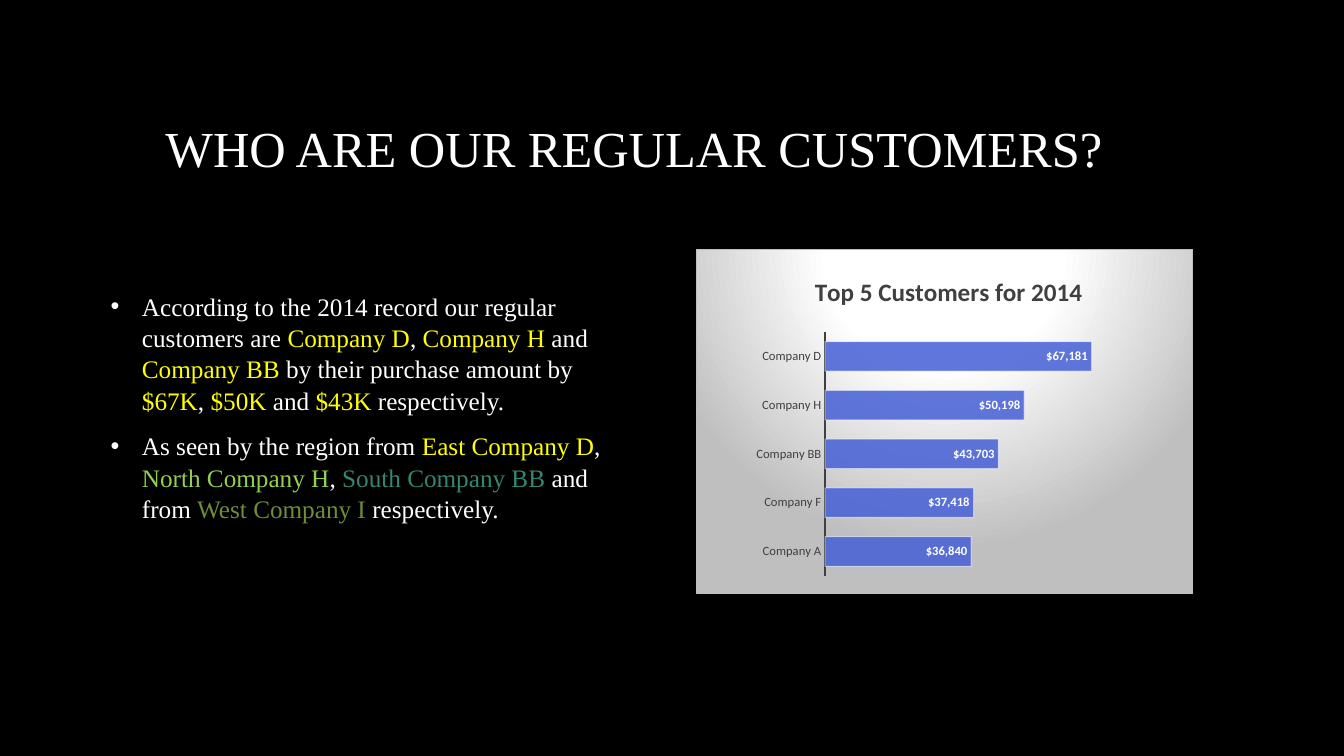
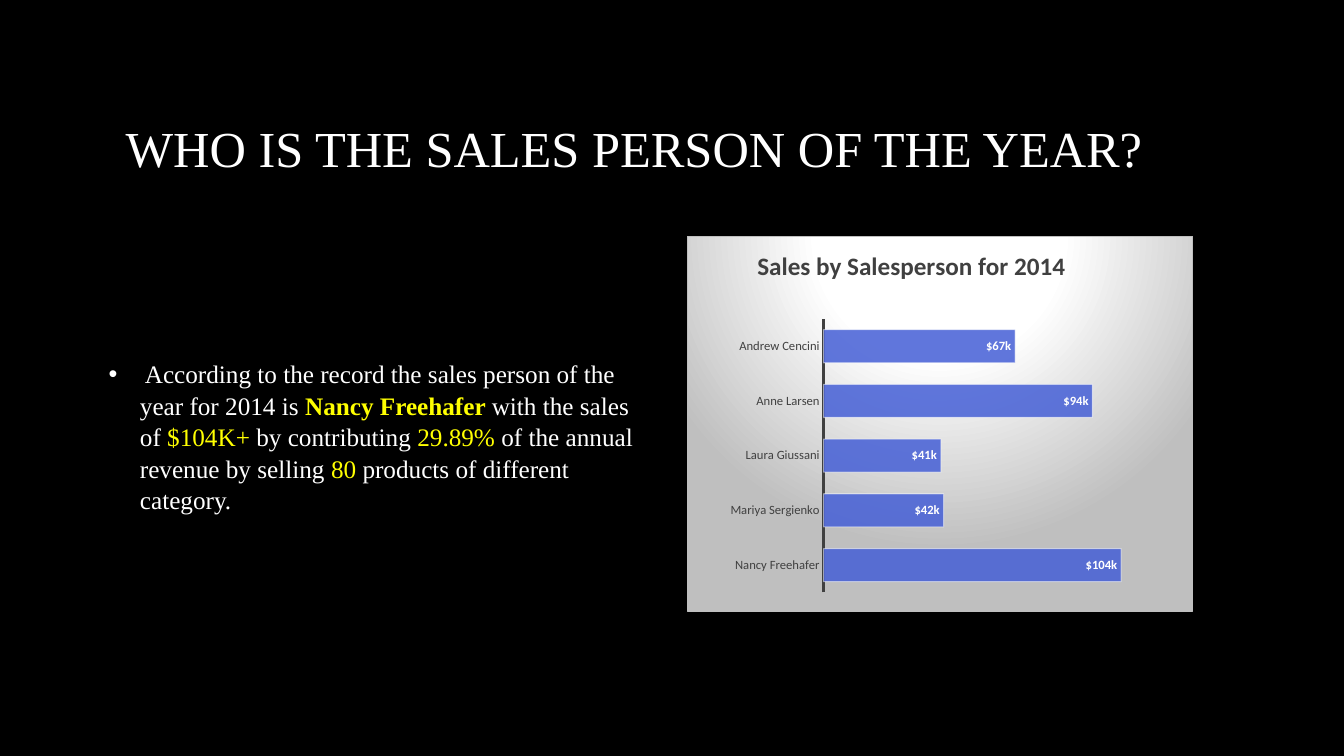
from lxml import etree
from pptx import Presentation
from pptx.chart.data import CategoryChartData
from pptx.dml.color import RGBColor
from pptx.enum.chart import XL_CHART_TYPE as ChartType
from pptx.enum.chart import XL_LABEL_POSITION as LabelPosition
from pptx.enum.chart import XL_TICK_MARK as TickMark
from pptx.enum.text import MSO_ANCHOR as Anchor
from pptx.enum.text import PP_ALIGN as Align
from pptx.oxml import parse_xml
from pptx.oxml.ns import nsdecls, qn
from pptx.util import Inches, Pt

BLACK, WHITE, YELLOW = "000000", "FFFFFF", "FFFF00"
LIME, TEAL, OLIVE = "92D050", "348672", "6D8E37"
BAR_BLUE, DARK_GREY, SILVER = "455FD6", "404040", "BFBFBF"
TEXT_FONT, CHART_FONT = "Times New Roman", "Calibri"
DOLLARS, THOUSANDS = '"$"#,##0', "[$$-409]#,\\k"

CUSTOMER_POINTS = [
    ["According to the 2014 record our regular customers are ",
     ("Company D", YELLOW), ", ", ("Company H", YELLOW), " and ",
     ("Company BB", YELLOW), " by their purchase amount by ",
     ("$67K", YELLOW), ", ", ("$50K", YELLOW), " and ",
     ("$43K ", YELLOW), "respectively."],
    ["As seen by the region from ", ("East Company D", YELLOW), ", ",
     ("North Company H", LIME), ", ", ("South Company BB ", TEAL),
     "and from ", ("West Company I ", OLIVE), "respectively."],
]
SALESPERSON_POINTS = [
    [" According to the record the sales person of the year for 2014 is ",
     ("Nancy Freehafer ", YELLOW, True), "with the sales of ",
     ("$104K+ ", YELLOW), "by contributing ", ("29.89%", YELLOW),
     " of the annual revenue by selling ", ("80", YELLOW),
     " products of different category."],
]
CUSTOMER_SALES = {"Company D": 67181, "Company H": 50198, "Company BB": 43703,
                  "Company F": 37418, "Company A": 36840}
SALESPERSON_SALES = {"Nancy Freehafer": 104000, "Mariya Sergienko": 42000,
                     "Laura Giussani": 41000, "Anne Larsen": 94000,
                     "Andrew Cencini": 67000}


def rgb(value):
    """Turn a hex string into a colour."""
    return RGBColor.from_string(value)


def style_font(font, name, size, color, bold=False):
    """Set the face, size, colour and weight of a font."""
    font.name, font.size, font.bold = name, Pt(size), bold
    font.color.rgb = rgb(color)


def add_titled_slide(prs, heading):
    """Add a title-only slide with its heading in place."""
    slide = prs.slides.add_slide(prs.slide_layouts[5])
    title = slide.shapes.title
    title.left, title.top = Inches(0.75), Inches(0.67)
    title.width, title.height = Inches(11.08), Inches(1.59)
    frame = title.text_frame
    frame.text = heading
    frame.vertical_anchor = Anchor.MIDDLE
    paragraph = frame.paragraphs[0]
    paragraph.alignment = Align.CENTER
    style_font(paragraph.runs[0].font, TEXT_FONT, 36, WHITE)
    return slide


def set_bullet(paragraph):
    """Give a paragraph a white bullet with a hanging indent."""
    props = paragraph._p.get_or_add_pPr()
    props.set("marL", str(Inches(0.31)))
    props.set("indent", str(-Inches(0.31)))
    color = etree.SubElement(props, qn("a:buClr"))
    etree.SubElement(color, qn("a:srgbClr"), val=WHITE)
    etree.SubElement(props, qn("a:buFont"), typeface="Arial")
    etree.SubElement(props, qn("a:buChar"), char="•")


def add_points(slide, left, top, points):
    """Add bulleted paragraphs whose key words are coloured."""
    box = slide.shapes.add_textbox(
        Inches(left), Inches(top), Inches(5.46), Inches(3.99))
    frame = box.text_frame
    frame.word_wrap = True
    frame.vertical_anchor = Anchor.MIDDLE
    for index, spans in enumerate(points):
        paragraph = frame.add_paragraph() if index else frame.paragraphs[0]
        paragraph.line_spacing = 1.04
        paragraph.space_after = Pt(10)
        set_bullet(paragraph)
        for span in spans:
            words, *style = (span, WHITE) if isinstance(span, str) else span
            run = paragraph.add_run()
            run.text = words
            style_font(run.font, TEXT_FONT, 18, *style)


def set_layout(parent, **edges):
    """Fix the place of a chart part as fractions of the chart."""
    old = parent.find(qn("c:layout"))
    position = 0 if old is None else parent.index(old)
    if old is not None:
        parent.remove(old)
    layout = etree.Element(qn("c:layout"))
    manual = etree.SubElement(layout, qn("c:manualLayout"))
    if "w" in edges:
        etree.SubElement(manual, qn("c:layoutTarget"), val="inner")
    for mode in ("xMode", "yMode"):
        etree.SubElement(manual, qn(f"c:{mode}"), val="edge")
    for edge, fraction in edges.items():
        etree.SubElement(manual, qn(f"c:{edge}"), val=str(fraction))
    parent.insert(position, layout)


def set_backdrop(chart):
    """Fill the chart area with a spotlight and clear the plot area."""
    stops = "".join(
        f'<a:gs pos="{percent * 1000}"><a:srgbClr val="{color}"/></a:gs>'
        for percent, color in ((0, WHITE), (39, WHITE), (100, SILVER)))
    area = chart._chartSpace.find(qn("c:chart"))
    area.addnext(parse_xml(
        f'<c:spPr {nsdecls("c", "a")}><a:gradFill><a:gsLst>{stops}</a:gsLst>'
        '<a:path path="circle"><a:fillToRect l="50000" t="-80000" r="50000" '
        'b="180000"/></a:path></a:gradFill><a:ln w="9525"><a:solidFill>'
        f'<a:srgbClr val="{SILVER}"/></a:solidFill></a:ln></c:spPr>'))
    area.find(qn("c:plotArea")).append(parse_xml(
        f'<c:spPr {nsdecls("c", "a")}><a:noFill/></c:spPr>'))


def style_bars(plot, label_format):
    """Colour the translucent bars and label their ends."""
    plot.gap_width = 65
    plot.vary_by_categories = False
    bars = plot.series[0]
    bars.format.fill.solid()
    bars.format.fill.fore_color.rgb = rgb(BAR_BLUE)
    bars.format.line.width = Pt(0.75)
    bars.format.line.color.rgb = rgb(WHITE)
    for route, percent in (("a:solidFill", 85), ("a:ln/a:solidFill", 50)):
        color = bars._element.xpath(f"c:spPr/{route}/a:srgbClr")[0]
        etree.SubElement(color, qn("a:alpha"), val=str(percent * 1000))
    labels = bars.data_labels
    labels.show_value = True
    labels.position = LabelPosition.INSIDE_END
    labels.number_format = label_format
    labels.number_format_is_linked = False
    style_font(labels.font, CHART_FONT, 9, WHITE, True)


def style_axes(chart, top_value, reverse):
    """Show only the category axis and fix the value scale."""
    names, amounts = chart.category_axis, chart.value_axis
    names.reverse_order = reverse
    names.major_tick_mark = names.minor_tick_mark = TickMark.NONE
    names.format.line.width = Pt(1.5)
    names.format.line.color.rgb = rgb(DARK_GREY)
    style_font(names.tick_labels.font, CHART_FONT, 9, DARK_GREY)
    amounts.visible = False
    amounts.has_major_gridlines = False
    amounts.minimum_scale, amounts.maximum_scale = 0, top_value
    amounts.tick_labels.number_format = DOLLARS
    amounts.tick_labels.number_format_is_linked = False


def add_sales_chart(slide, place, heading, sales, heading_at, plot_at,
                    top_value, label_format, reverse=False):
    """Add a bar chart of sales on a spotlight background."""
    data = CategoryChartData()
    data.categories = list(sales)
    data.add_series("Series 1", list(sales.values()))
    chart = slide.shapes.add_chart(
        ChartType.BAR_CLUSTERED, *map(Inches, place), data).chart
    style_font(chart.font, CHART_FONT, 10, WHITE)
    chart.has_legend = False
    chart.has_title = True
    title = chart.chart_title
    title.text_frame.text = heading
    style_font(title.text_frame.paragraphs[0].runs[0].font,
               CHART_FONT, 18, DARK_GREY, True)
    set_layout(title._element, **dict(zip("xy", heading_at)))
    set_layout(chart._chartSpace.chart.plotArea, **dict(zip("xywh", plot_at)))
    style_axes(chart, top_value, reverse)
    style_bars(chart.plots[0], label_format)
    set_backdrop(chart)


def main():
    """Build the two sales slides."""
    prs = Presentation()
    prs.slide_width, prs.slide_height = Inches(13.33), Inches(7.5)
    backdrop = prs.slide_master.background.fill
    backdrop.solid()
    backdrop.fore_color.rgb = rgb(BLACK)

    customers = add_titled_slide(prs, "WHO ARE OUR REGULAR CUSTOMERS?")
    add_points(customers, 1, 2.04, CUSTOMER_POINTS)
    add_sales_chart(customers, (6.9, 2.47, 4.93, 3.42),
                    "Top 5 Customers for 2014", CUSTOMER_SALES,
                    (0.23, 0.06), (0.26, 0.24, 0.64, 0.71),
                    80000, DOLLARS, reverse=True)

    salesperson = add_titled_slide(prs, "WHO IS THE SALES PERSON OF THE YEAR?")
    add_points(salesperson, 0.98, 2.33, SALESPERSON_POINTS)
    add_sales_chart(salesperson, (6.81, 2.34, 5.02, 3.73),
                    "Sales by Salesperson for 2014", SALESPERSON_SALES,
                    (0.13, 0.02), (0.27, 0.22, 0.68, 0.73),
                    120000, THOUSANDS)

    prs.save("out.pptx")


if __name__ == "__main__":
    main()
